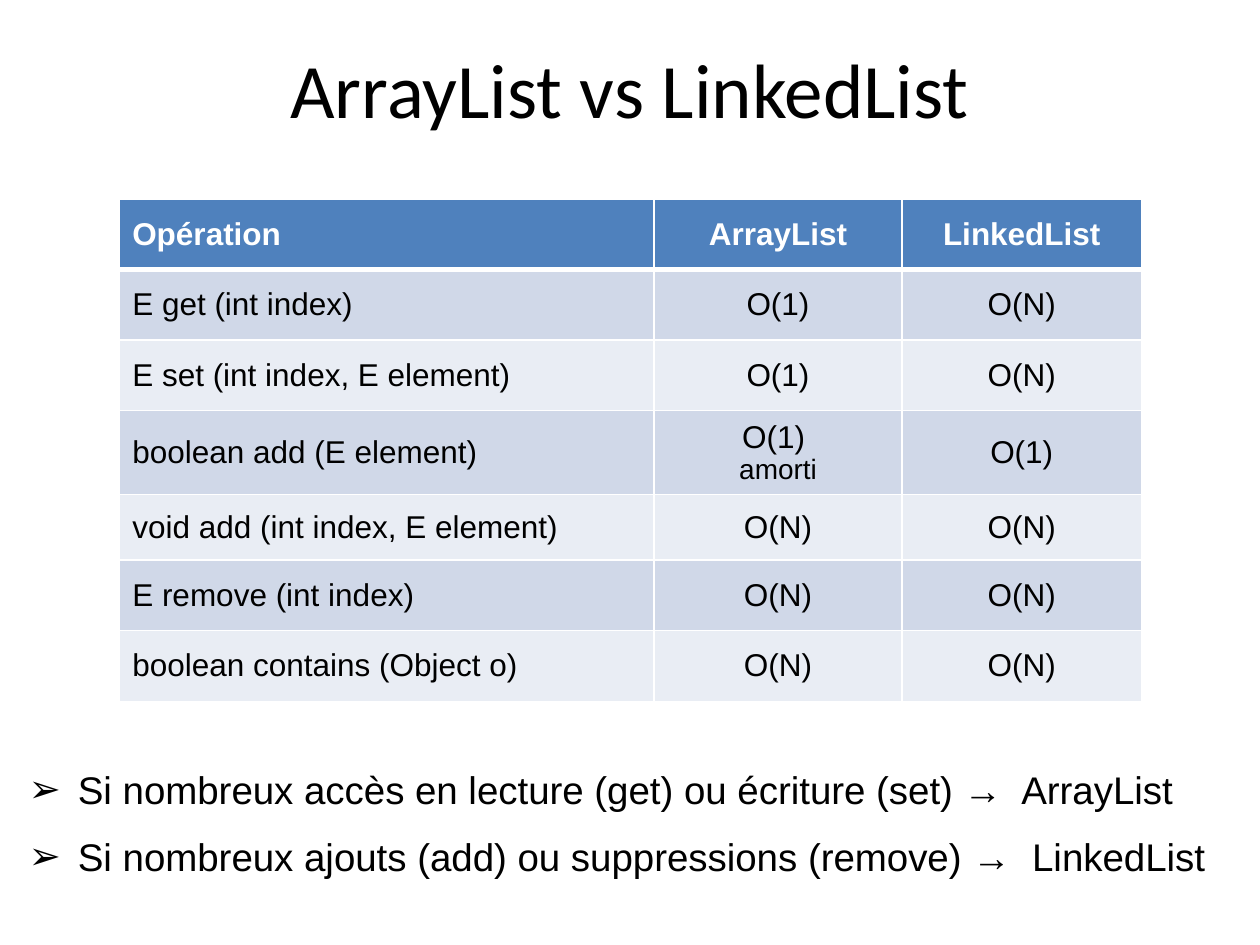
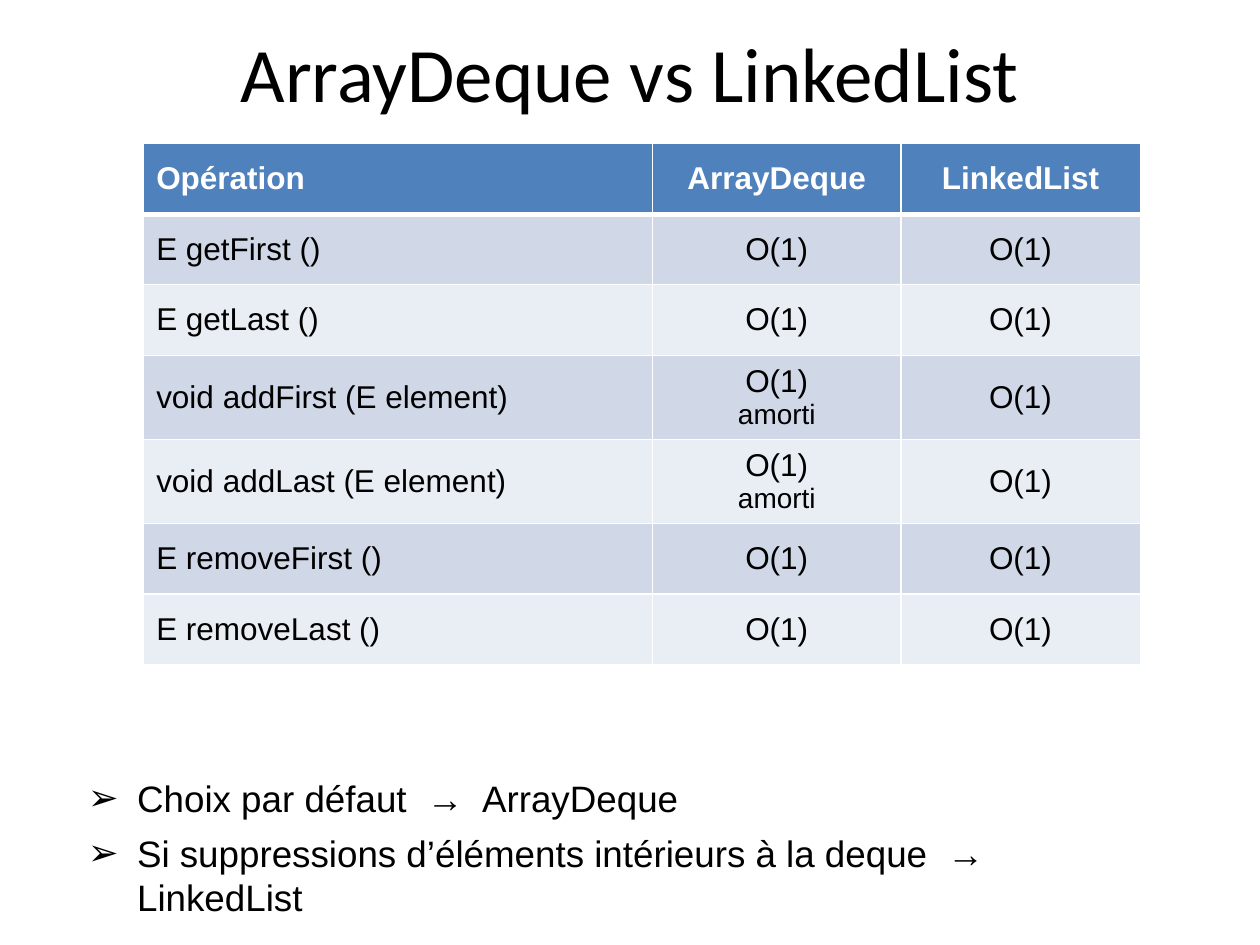
import dataclasses
import pptx
import pptx.dml.color
import pptx.enum.text
import pptx.oxml.ns
import pptx.util
from lxml import etree

Inches = pptx.util.Inches
Pt = pptx.util.Pt
ALIGN = pptx.enum.text.PP_ALIGN
MIDDLE = pptx.enum.text.MSO_ANCHOR.MIDDLE


@dataclasses.dataclass(frozen=True)
class Theme:
    head: str = "4F81BD"
    odd: str = "D0D8E8"
    even: str = "E9EDF4"
    white: str = "FFFFFF"
    ink: str = "000000"
    body: str = "Arial"
    display: str = "Calibri"
    title: int = 44
    cell: int = 18
    small: int = 16


THEME = Theme()
ROWS = [0.56] * 4 + [0.52] + [0.56] * 2


def rgb(code):
    return pptx.dml.color.RGBColor.from_string(code)


def child(parent, tag, **attrs):
    node = etree.SubElement(parent, pptx.oxml.ns.qn(tag))
    for key, value in attrs.items():
        node.set(key, str(value))
    return node


def write(para, text, size=THEME.cell, sub=THEME.small, font=THEME.body,
          color=THEME.ink, bold=False, align=ALIGN.LEFT, after=0):
    para.alignment = align
    para.space_after = Pt(after)
    for index, line in enumerate(text.split("\n")):
        if index:
            para.add_line_break()
        run = para.add_run()
        run.text = line
        run.font.size = Pt(sub if index else size)
        run.font.name = font
        run.font.bold = bold
        run.font.color.rgb = rgb(color)


def add_box(slide, left, top, width, height):
    box = slide.shapes.add_textbox(*map(Inches, (left, top, width, height)))
    box.text_frame.word_wrap = True
    return box.text_frame


def add_title(slide, text, top):
    frame = add_box(slide, 0.5, top, 9, 0.8)
    frame.vertical_anchor = MIDDLE
    write(frame.paragraphs[0], text, size=THEME.title, font=THEME.display,
          align=ALIGN.CENTER)


def add_edges(cell, row):
    props = cell._tc.get_or_add_tcPr()
    above = 3 if row == 1 else 1
    below = 3 if row == 0 else 1
    for side, width in (("L", 1), ("R", 1), ("T", above), ("B", below)):
        line = child(props, "a:ln" + side, w=Pt(width))
        child(child(line, "a:solidFill"), "a:srgbClr", val=THEME.white)


def add_grid(slide, left, top, widths, data):
    frame = slide.shapes.add_table(
        len(data), len(widths), Inches(left), Inches(top),
        Inches(sum(widths)), Inches(sum(ROWS)))
    table = frame.table
    for col, width in zip(table.columns, widths):
        col.width = Inches(width)
    for row, height in zip(table.rows, ROWS):
        row.height = Inches(height)
    for r, items in enumerate(data):
        head = r == 0
        fill = THEME.head if head else THEME.odd if r % 2 else THEME.even
        for c, text in enumerate(items):
            cell = table.cell(r, c)
            add_edges(cell, r)
            cell.fill.solid()
            cell.fill.fore_color.rgb = rgb(fill)
            cell.vertical_anchor = MIDDLE
            write(cell.text_frame.paragraphs[0], text, bold=head,
                  color=THEME.white if head else THEME.ink,
                  align=ALIGN.CENTER if c else ALIGN.LEFT)


def add_list(slide, area, size, items):
    frame = add_box(slide, *area)
    for index, (text, after) in enumerate(items):
        para = frame.add_paragraph() if index else frame.paragraphs[0]
        write(para, text, size=size, after=after)
        props = para._p.get_or_add_pPr()
        props.set("marL", str(Inches(0.39)))
        props.set("indent", str(Inches(-0.39)))
        child(props, "a:buFont", typeface=THEME.body)
        child(props, "a:buChar", char="➢")


def list_slide(slide):
    add_title(slide, "ArrayList vs LinkedList", 0.3)
    add_grid(slide, 0.95, 1.58, (4.24, 1.97, 1.9), [
        ("Opération", "ArrayList", "LinkedList"),
        ("E get (int index)", "O(1)", "O(N)"),
        ("E set (int index, E element)", "O(1)", "O(N)"),
        ("boolean add (E element)", "O(1) \namorti", "O(1)"),
        ("void add (int index, E element)", "O(N)", "O(N)"),
        ("E remove (int index) ", "O(N)", "O(N)"),
        ("boolean contains (Object o)", "O(N)", "O(N)"),
    ])
    add_list(slide, (0.13, 6.03, 9.66, 1.01), 22, [
        ("Si nombreux accès en lecture (get) ou écriture (set) →  ArrayList", 12),
        ("Si nombreux ajouts (add) ou suppressions (remove) →  LinkedList", 12),
    ])


def deque_slide(slide):
    add_title(slide, "ArrayDeque vs LinkedList", 0.17)
    add_grid(slide, 1.14, 1.14, (4.04, 1.97, 1.9), [
        ("Opération", "ArrayDeque", "LinkedList"),
        ("E getFirst ()", "O(1)", "O(1)"),
        ("E getLast ()", "O(1)", "O(1)"),
        ("void addFirst (E element)", "O(1)\namorti", "O(1)"),
        ("void addLast (E element)", "O(1)\namorti", "O(1)"),
        ("E removeFirst ()", "O(1)", "O(1)"),
        ("E removeLast ()", "O(1)", "O(1)"),
    ])
    add_list(slide, (0.6, 6.11, 8.7, 0.89), 21, [
        ("Choix par défaut  →  ArrayDeque", 6),
        ("Si suppressions d’éléments intérieurs à la deque  →  LinkedList", 12),
    ])


def main():
    deck = pptx.Presentation()
    deck.slide_width = Inches(10)
    deck.slide_height = Inches(7.5)
    for build in (list_slide, deque_slide):
        build(deck.slides.add_slide(deck.slide_layouts[6]))
    deck.save("out.pptx")


main()
